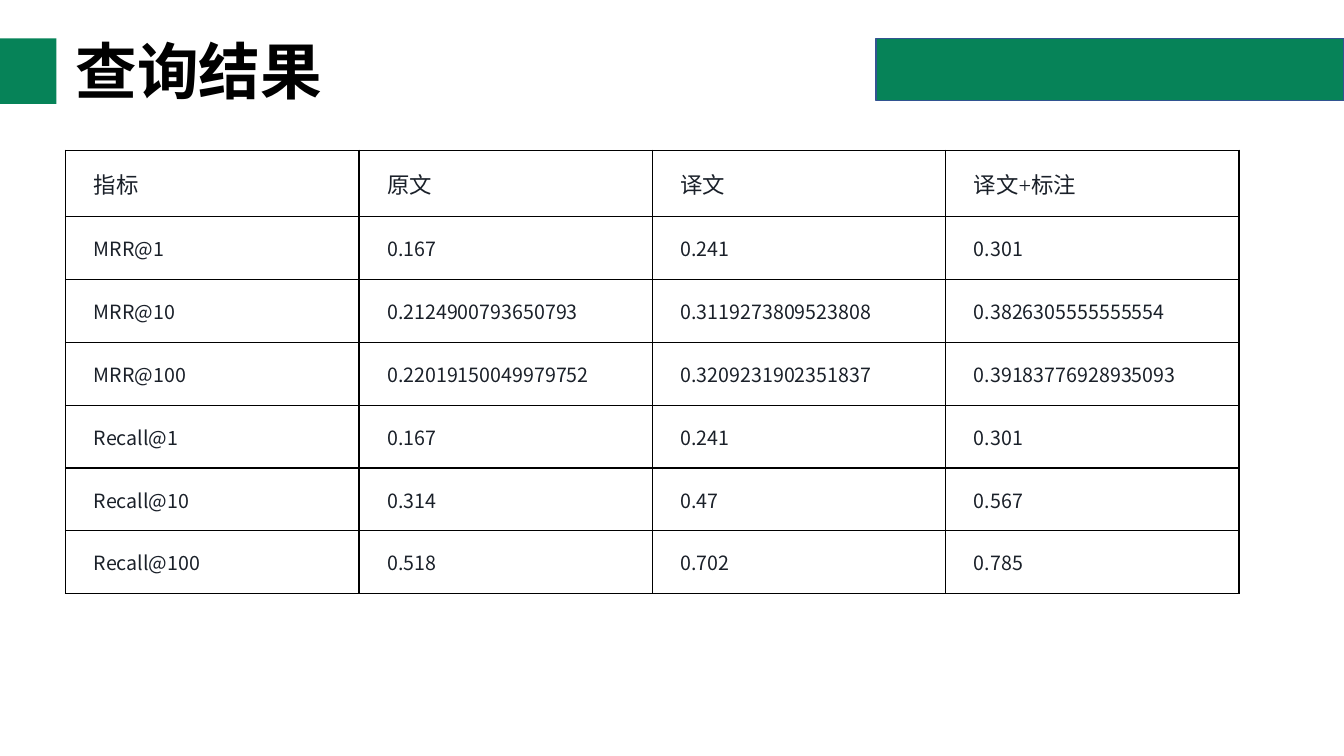
"""Build the query results slide with its metrics table."""
from dataclasses import dataclass

from lxml import etree
from pptx import Presentation
from pptx.dml.color import RGBColor
from pptx.enum.shapes import MSO_SHAPE
from pptx.enum.text import MSO_ANCHOR, PP_ALIGN
from pptx.oxml.ns import qn
from pptx.util import Inches, Pt

RECTANGLE = MSO_SHAPE.RECTANGLE
TOP, MIDDLE = MSO_ANCHOR.TOP, MSO_ANCHOR.MIDDLE
LEFT = PP_ALIGN.LEFT
TITLE_ONLY = 5


@dataclass(frozen=True)
class Theme:
    green: str = "068358"
    bar_line: str = "325491"
    black: str = "000000"
    table_text: str = "1A2029"
    serif: str = "Times New Roman"
    sans: str = "Noto Sans CJK SC"
    title_size: int = 44
    header_size: int = 16
    body_size: int = 14
    line_width: int = 1


class SlideBuilder:
    def __init__(self, slide, theme):
        self.slide = slide
        self.theme = theme

    def format_runs(self, paragraph, font_name, size, color, bold=False):
        for run in paragraph.runs:
            font = run.font
            font.name = font_name
            font.size = Pt(size)
            font.bold = bold
            font.color.rgb = RGBColor.from_string(color)
            east_asian = etree.Element(qn("a:ea"), typeface=self.theme.sans)
            font._element.find(qn("a:latin")).addnext(east_asian)

    def title(self, text, left, top, width, height):
        shape = self.slide.shapes.title
        shape.left, shape.top = Inches(left), Inches(top)
        shape.width, shape.height = Inches(width), Inches(height)
        text_frame = shape.text_frame
        text_frame.text = text
        text_frame.vertical_anchor = MIDDLE
        paragraph = text_frame.paragraphs[0]
        paragraph.alignment = LEFT
        paragraph.line_spacing = 0.9
        theme = self.theme
        self.format_runs(paragraph, theme.serif, theme.title_size, theme.black, True)

    def bar(self, left, top, width, height, line_color=None):
        shape = self.slide.shapes.add_shape(
            RECTANGLE, Inches(left), Inches(top), Inches(width), Inches(height))
        shape.shadow.inherit = False
        shape.fill.solid()
        shape.fill.fore_color.rgb = RGBColor.from_string(self.theme.green)
        if line_color:
            shape.line.color.rgb = RGBColor.from_string(line_color)
            shape.line.width = Pt(self.theme.line_width)
        else:
            shape.line.fill.background()

    def cell_borders(self, cell):
        properties = cell._tc.get_or_add_tcPr()
        for index, side in enumerate(("lnL", "lnR", "lnT", "lnB")):
            border = etree.Element(qn(f"a:{side}"), w=str(Pt(self.theme.line_width)))
            fill = etree.SubElement(border, qn("a:solidFill"))
            etree.SubElement(fill, qn("a:srgbClr"), val=self.theme.black)
            properties.insert(index, border)

    def table(self, rows, left, top, column_width, header_height, row_height):
        theme = self.theme
        column_count = len(rows[0])
        height = header_height + row_height * (len(rows) - 1)
        table = self.slide.shapes.add_table(
            len(rows), column_count, Inches(left), Inches(top),
            Inches(column_width * column_count), Inches(height)).table
        table.first_row = table.horz_banding = False
        for column in table.columns:
            column.width = Inches(column_width)
        for row_index, values in enumerate(rows):
            is_header = row_index == 0
            table.rows[row_index].height = Inches(header_height if is_header else row_height)
            font_name = theme.serif if is_header else theme.sans
            size = theme.header_size if is_header else theme.body_size
            for column_index, value in enumerate(values):
                cell = table.cell(row_index, column_index)
                cell.text_frame.text = value
                cell.vertical_anchor = TOP if is_header else MIDDLE
                cell.margin_left = cell.margin_right = Inches(0.28)
                cell.margin_top = cell.margin_bottom = Inches(0.17)
                cell.fill.background()
                self.cell_borders(cell)
                self.format_runs(
                    cell.text_frame.paragraphs[0], font_name, size, theme.table_text)


RESULTS = [
    ("指标", "原文", "译文", "译文+标注"),
    ("MRR@1", "0.167", "0.241", "0.301"),
    ("MRR@10", "0.2124900793650793", "0.3119273809523808", "0.3826305555555554"),
    ("MRR@100", "0.22019150049979752", "0.3209231902351837", "0.39183776928935093"),
    ("Recall@1", "0.167", "0.241", "0.301"),
    ("Recall@10", "0.314", "0.47", "0.567"),
    ("Recall@100", "0.518", "0.702", "0.785"),
]


def main():
    presentation = Presentation()
    presentation.slide_width = Inches(13.33)
    presentation.slide_height = Inches(7.5)
    slide = presentation.slides.add_slide(presentation.slide_layouts[TITLE_ONLY])
    theme = Theme()
    builder = SlideBuilder(slide, theme)
    builder.bar(0, 0.38, 0.56, 0.65)
    builder.bar(8.69, 0.38, 4.64, 0.62, theme.bar_line)
    builder.title("查询结果", 0.65, 0.22, 7.66, 1.03)
    builder.table(RESULTS, 0.65, 1.49, 2.91, 0.64, 0.62)
    presentation.save("out.pptx")


if __name__ == "__main__":
    main()
